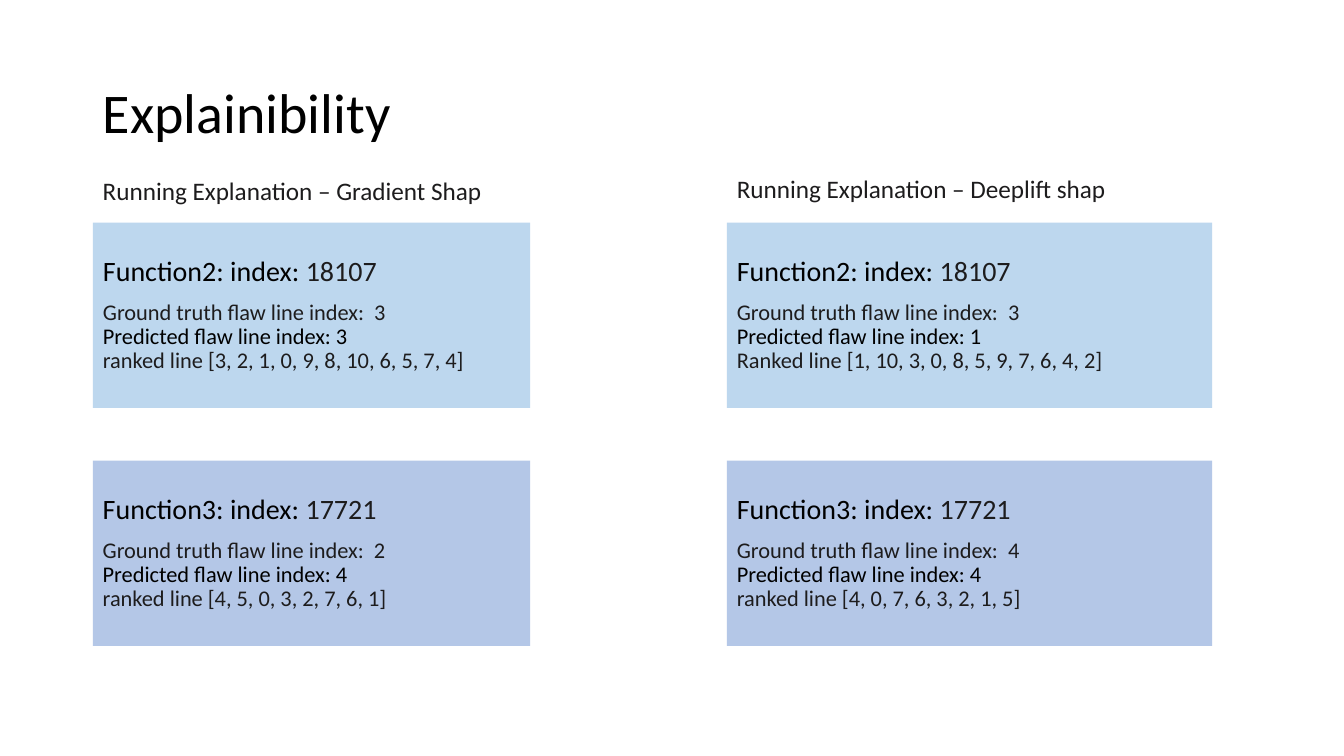
from pptx import Presentation
from pptx.dml.color import RGBColor
from pptx.enum.shapes import MSO_SHAPE
from pptx.enum.text import MSO_ANCHOR, MSO_AUTO_SIZE, PP_ALIGN
from pptx.util import Cm, Pt
from lxml.etree import SubElement
from pptx.oxml.ns import qn

BLACK, INK = "000000", "1D1C1D"
BLUE, LILAC = "BDD7EE", "B4C7E7"
TOP, HIGH, STEP = 5.61, 4.67, 6

# Each column: left, width, caption, caption top, cards
# Each card: fill, function, index, truth, predicted, ranking
COLS = [
    (2.34, 11.02, "Running Explanation – Gradient Shap", 4.29, [
        (BLUE, "Function2", "18107", 3, 3,
         "ranked line [3, 2, 1, 0, 9, 8, 10, 6, 5, 7, 4]"),
        (LILAC, "Function3", "17721", 2, 4,
         "ranked line [4, 5, 0, 3, 2, 7, 6, 1]")]),
    (18.32, 12.23, "Running Explanation – Deeplift shap", 4.24, [
        (BLUE, "Function2", "18107", 3, 1,
         "Ranked line [1, 10, 3, 0, 8, 5, 9, 7, 6, 4, 2]"),
        (LILAC, "Function3", "17721", 4, 4,
         "ranked line [4, 0, 7, 6, 3, 2, 1, 5]")]),
]


def color(code):
    return RGBColor.from_string(code)


def place(shape, left, top, width, height):
    shape.left, shape.top = Cm(left), Cm(top)
    shape.width, shape.height = Cm(width), Cm(height)


def style(para, size, space=0, line=None):
    para.alignment = PP_ALIGN.LEFT
    para.font.name = "Calibri"
    para.font.size = Pt(size)
    para.space_before = Pt(space)
    para.line_spacing = line


def add_run(para, text, code):
    run = para.add_run()
    run.text = text
    run.font.color.rgb = color(code)


def plain(para):
    """Remove the bullet and its indent."""
    props = para._p.get_or_add_pPr()
    props.set("marL", "0")
    props.set("indent", "0")
    SubElement(props, qn("a:buNone"))


def set_title(shape, box):
    place(shape, *box)
    frame = shape.text_frame
    frame.auto_size = MSO_AUTO_SIZE.NONE
    frame.vertical_anchor = MSO_ANCHOR.MIDDLE
    para = frame.paragraphs[0]
    style(para, 40, line=0.9)
    add_run(para, "Explainibility", BLACK)


def add_label(slide, box, text):
    shape = slide.shapes.add_textbox(*map(Cm, box))
    frame = shape.text_frame
    frame.word_wrap = False
    frame.auto_size = MSO_AUTO_SIZE.SHAPE_TO_FIT_TEXT
    para = frame.paragraphs[0]
    style(para, 18)
    add_run(para, text, INK)


def fill_card(shape, box, card):
    fill, name, index, truth, guess, ranks = card
    place(shape, *box)
    shape.fill.solid()
    shape.fill.fore_color.rgb = color(fill)
    shape.line.fill.background()
    frame = shape.text_frame
    frame.word_wrap = True
    frame.auto_size = MSO_AUTO_SIZE.NONE
    frame.vertical_anchor = MSO_ANCHOR.MIDDLE

    # Heading
    head = frame.paragraphs[0]
    style(head, 20, 10, 0.9)
    plain(head)
    add_run(head, f"{name}: index: ", BLACK)
    add_run(head, index, INK)

    # Results
    body = frame.add_paragraph()
    style(body, 16, 10, 0.9)
    plain(body)
    add_run(body, f"Ground truth flaw line index:  {truth}", INK)
    body.add_line_break()
    add_run(body, f"Predicted flaw line index: {guess}", BLACK)
    body.add_line_break()
    add_run(body, ranks, INK)


def add_card(slide):
    shape = slide.shapes.add_shape(MSO_SHAPE.RECTANGLE, 0, 0, 0, 0)
    shape.shadow.inherit = False
    return shape


def main():
    deck = Presentation()
    deck.slide_width, deck.slide_height = Cm(33.87), Cm(19.05)
    slide = deck.slides.add_slide(deck.slide_layouts[1])
    set_title(slide.shapes.title, (2.34, 1.52, 14.35, 2.77))

    # The first card is the body placeholder
    spare = [slide.placeholders[1]]
    for left, width, label, high, cards in COLS:
        add_label(slide, (left, high, 10.2, 1.02), label)
        for row, card in enumerate(cards):
            shape = spare.pop() if spare else add_card(slide)
            fill_card(shape, (left, TOP + row * STEP, width, HIGH), card)

    deck.save("out.pptx")


if __name__ == "__main__":
    main()
